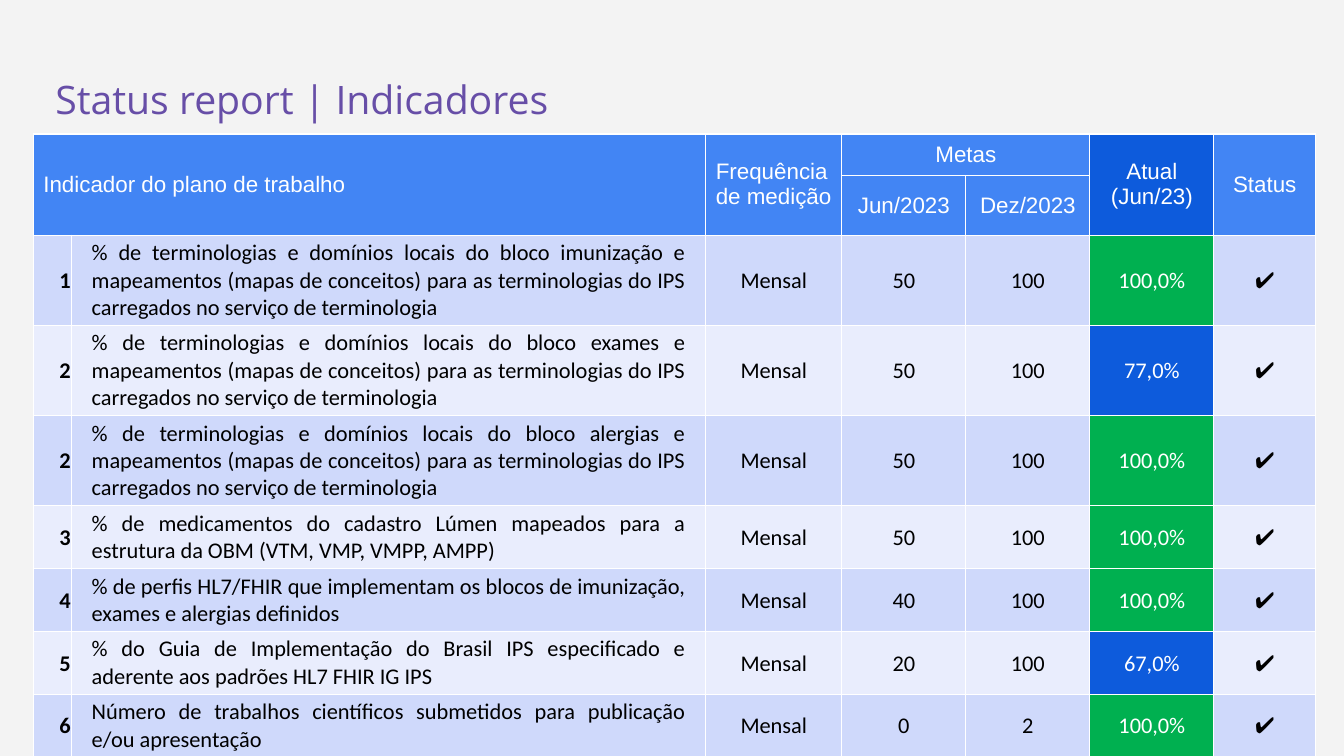
"""Build the status report slide with its table of indicators."""
from lxml import etree
from pptx import Presentation, util as u
from pptx.dml.color import RGBColor
from pptx.enum import text
from pptx.oxml import ns

WHITE = RGBColor(0xFF, 0xFF, 0xFF)
BLACK = RGBColor(0, 0, 0)
PAPER = RGBColor(0xF3, 0xF3, 0xF3)
PURPLE = RGBColor(0x67, 0x4E, 0xA7)
HEADER_BLUE = RGBColor(0x42, 0x85, 0xF4)
DEEP_BLUE = RGBColor(0x0D, 0x5B, 0xDC)
GREEN = RGBColor(0x00, 0xB0, 0x50)
BANDS = (RGBColor(0xCF, 0xD9, 0xFB), RGBColor(0xE9, 0xED, 0xFD))

LEFT, CENTER, RIGHT, JUSTIFY = (
    text.PP_ALIGN.LEFT, text.PP_ALIGN.CENTER, text.PP_ALIGN.RIGHT, text.PP_ALIGN.JUSTIFY)

TITLE = "Status report | Indicadores"
HEADERS = [
    (0, 0, 2, 2, "Indicador do plano de trabalho", LEFT, HEADER_BLUE),
    (0, 2, 2, 1, "Frequência de medição", LEFT, HEADER_BLUE),
    (0, 3, 1, 2, "Metas", CENTER, HEADER_BLUE),
    (0, 5, 2, 1, "Atual (Jun/23)", CENTER, DEEP_BLUE),
    (0, 6, 2, 1, "Status", CENTER, HEADER_BLUE),
    (1, 3, 1, 1, "Jun/2023", CENTER, HEADER_BLUE),
    (1, 4, 1, 1, "Dez/2023", CENTER, HEADER_BLUE),
]
TERMS = ("% de terminologias e domínios locais do bloco {} e mapeamentos (mapas de conceitos) "
         "para as terminologias do IPS carregados no serviço de terminologia")
INDICATORS = [
    ("1", TERMS.format("imunização"), "50", "100", "100,0%"),
    ("2", TERMS.format("exames"), "50", "100", "77,0%"),
    ("2", TERMS.format("alergias"), "50", "100", "100,0%"),
    ("3", "% de medicamentos do cadastro Lúmen mapeados para a estrutura da OBM "
          "(VTM, VMP, VMPP, AMPP)", "50", "100", "100,0%"),
    ("4", "% de perfis HL7/FHIR que implementam os blocos de imunização, exames e alergias "
          "definidos", "40", "100", "100,0%"),
    ("5", "% do Guia de Implementação do Brasil IPS especificado e aderente aos padrões "
          "HL7 FHIR IG IPS", "20", "100", "67,0%"),
    ("6", "Número de trabalhos científicos submetidos para publicação e/ou apresentação",
     "0", "2", "100,0%"),
]
FREQUENCY, CHECK, COMPLETE = "Mensal", "✔️", "100,0%"
COLUMN_WIDTHS = (0.38, 6.29, 1.35, 1.23, 1.23, 1.23, 1.01)
ROW_HEIGHTS = (0.41, 0.59) + (0.89,) * 3 + (0.62,) * 4
BODY_ALIGNS = (RIGHT, JUSTIFY) + (CENTER,) * 5
HEADER_INSETS = (0.1, 0.05, 0.1, 0.05)
TIGHT_INSETS = (0.01, 0.01, 0.01, 0)
WIDE_INSETS = (0.2, 0.04, 0.2, 0.04)
SIDES = ("left", "top", "right", "bottom")


def set_all(target, values):
    for name, value in values.items():
        setattr(target, name, value)


def write(para, wording, font, size, color, bold=False):
    span = para.add_run()
    span.text = wording
    set_all(span.font, {"name": font, "size": u.Pt(size), "bold": bold})
    span.font.color.rgb = color


def add_borders(cell):
    properties = cell._tc.get_or_add_tcPr()
    for index, side in enumerate(("lnL", "lnR", "lnT", "lnB")):
        line = etree.Element(ns.qn("a:" + side), w=str(u.Pt(1)))
        fill = etree.SubElement(line, ns.qn("a:solidFill"))
        etree.SubElement(fill, ns.qn("a:srgbClr"), val=str(WHITE))
        properties.insert(index, line)


def fill_cell(cell, wording, align, fill, insets, font, color, bold=False):
    margins = {"margin_" + side: u.Inches(inset) for side, inset in zip(SIDES, insets)}
    set_all(cell, {"vertical_anchor": text.MSO_ANCHOR.MIDDLE, **margins})
    cell.fill.solid()
    cell.fill.fore_color.rgb = fill
    para = cell.text_frame.paragraphs[0]
    para.alignment = align
    write(para, wording, font, 16, color, bold)


def add_title(page):
    box = page.shapes.add_textbox(u.Inches(0.45), u.Inches(0.65), u.Inches(12.42), u.Inches(0.84))
    frame = box.text_frame
    set_all(frame, {"word_wrap": True, **{"margin_" + side: u.Inches(0.1) for side in SIDES}})
    write(frame.paragraphs[0], TITLE, "Open Sans", 28, PURPLE)


def add_indicators(page):
    table = page.shapes.add_table(
        len(ROW_HEIGHTS), len(COLUMN_WIDTHS), u.Inches(0.33), u.Inches(1.33),
        u.Inches(sum(COLUMN_WIDTHS)), u.Inches(sum(ROW_HEIGHTS))).table
    for column, width in zip(table.columns, COLUMN_WIDTHS):
        column.width = u.Inches(width)
    for row, height in zip(table.rows, ROW_HEIGHTS):
        row.height = u.Inches(height)

    for row, column, tall, wide, wording, align, fill in HEADERS:
        cell = table.cell(row, column)
        if tall * wide > 1:
            cell.merge(table.cell(row + tall - 1, column + wide - 1))
        fill_cell(cell, wording, align, fill, HEADER_INSETS, "Arial", WHITE)

    for index, (number, name, june, december, current) in enumerate(INDICATORS):
        values = (number, name, FREQUENCY, june, december, current, CHECK)
        for column, (wording, align) in enumerate(zip(values, BODY_ALIGNS)):
            fill, color = BANDS[index % 2], BLACK
            if column == 5:
                fill, color = GREEN if current == COMPLETE else DEEP_BLUE, WHITE
            insets = WIDE_INSETS if column == 1 else TIGHT_INSETS
            fill_cell(table.cell(index + 2, column), wording, align, fill, insets,
                      "Calibri", color, column == 0)

    for cell in table.iter_cells():
        add_borders(cell)


def main():
    deck = Presentation()
    set_all(deck, {"slide_width": u.Inches(13.33), "slide_height": u.Inches(7.5)})
    page = deck.slides.add_slide(deck.slide_layouts[6])
    page.background.fill.solid()
    page.background.fill.fore_color.rgb = PAPER
    add_indicators(page)
    add_title(page)
    deck.save("out.pptx")


if __name__ == "__main__":
    main()
